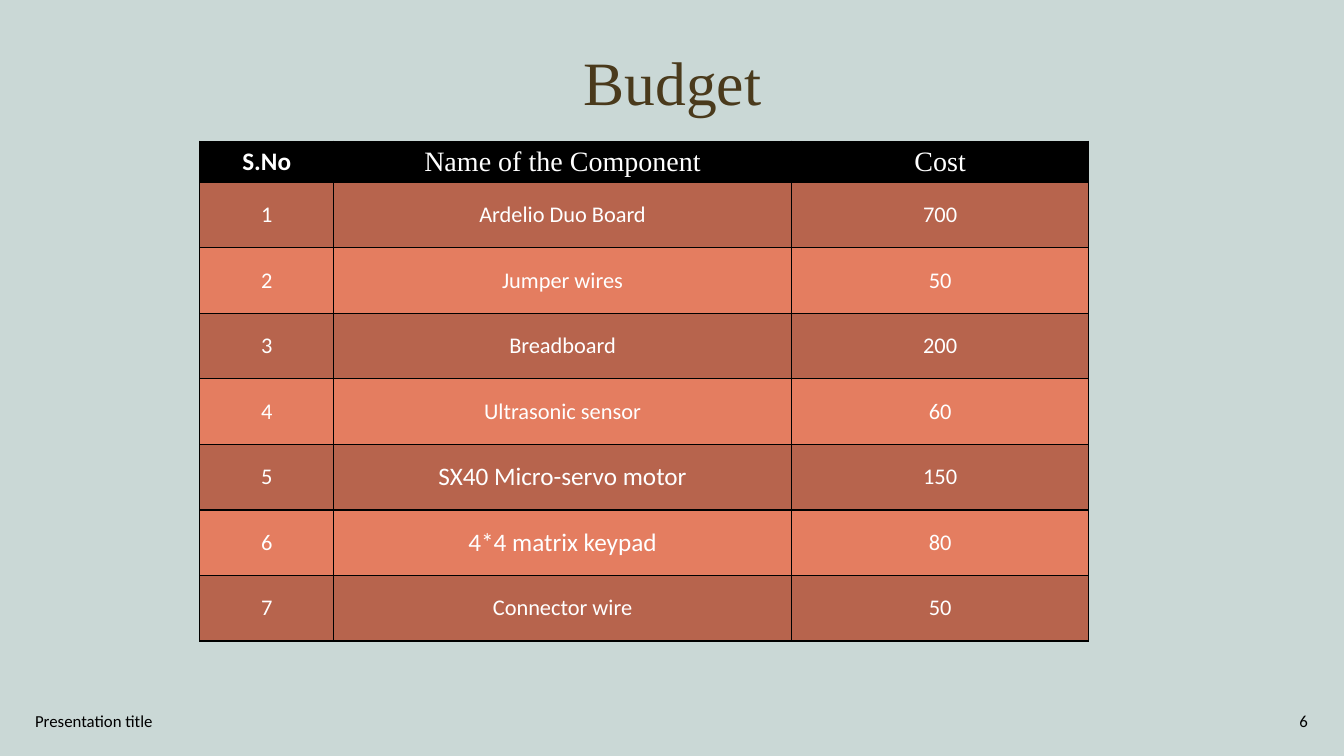
from typing import NamedTuple

from lxml.etree import SubElement
from pptx import Presentation
from pptx.dml.color import RGBColor
from pptx.enum.text import MSO_ANCHOR as Anchor, PP_ALIGN as Align
from pptx.oxml.ns import qn
from pptx.util import Inches, Pt

SANS, SERIF = "Calibri", "Times New Roman"
BLACK, WHITE, BROWN = "000000", "FFFFFF", "4A3A1C"
BACKGROUND = "CAD8D6"
BANDS = ("B7644D", "E47D60")
COLUMN_WIDTHS = (1.33, 4.54, 2.95)
HEADER_HEIGHT, ROW_HEIGHT = 0.4, 0.65


class Style(NamedTuple):
    size: int
    font: str = SANS
    color: str = WHITE
    bold: bool = False


class Component(NamedTuple):
    name: str
    cost: int
    name_size: int = 16


class FooterText(NamedTuple):
    text: str
    left: float
    width: float
    align: Align


HEADINGS = (
    ("S.No", Style(18, bold=True)),
    ("Name of the Component", Style(20, SERIF)),
    ("Cost", Style(20, SERIF)),
)
COMPONENTS = (
    Component("Ardelio Duo Board", 700),
    Component("Jumper wires", 50),
    Component("Breadboard", 200),
    Component("Ultrasonic sensor", 60),
    Component("SX40 Micro-servo motor", 150, 18),
    Component("4*4 matrix keypad", 80, 18),
    Component("Connector wire", 50),
)
FOOTER = (
    FooterText("Presentation title", 0.25, 4.5, Align.LEFT),
    FooterText("6", 10.07, 3, Align.RIGHT),
)


def rgb(color: str) -> RGBColor:
    return RGBColor.from_string(color)


def write(frame, text: str, style: Style, align: Align) -> None:
    paragraph = frame.paragraphs[0]
    paragraph.alignment = align
    run = paragraph.add_run()
    run.text = text
    font = run.font
    font.size, font.name, font.bold = Pt(style.size), style.font, style.bold
    font.color.rgb = rgb(style.color)


def add_borders(cell) -> None:
    properties = cell._tc.get_or_add_tcPr()
    for side in ("a:lnL", "a:lnR", "a:lnT", "a:lnB"):
        line = SubElement(properties, qn(side), w=str(Pt(1)))
        SubElement(SubElement(line, qn("a:solidFill")), qn("a:srgbClr"), val=BLACK)


def fill_row(table, index: int, entries, color: str) -> None:
    for column, (text, style) in enumerate(entries):
        cell = table.cell(index, column)
        add_borders(cell)
        cell.fill.solid()
        cell.fill.fore_color.rgb = rgb(color)
        cell.vertical_anchor = Anchor.MIDDLE
        write(cell.text_frame, text, style, Align.CENTER)


def add_title(slide) -> None:
    title = slide.shapes.title
    title.left, title.top = Inches(0.92), Inches(0.12)
    title.width, title.height = Inches(11.5), Inches(1.45)
    title.text_frame.vertical_anchor = Anchor.MIDDLE
    write(title.text_frame, "Budget", Style(44, SERIF, BROWN), Align.CENTER)
    title.text_frame.paragraphs[0].line_spacing = 0.9


def add_budget_table(slide) -> None:
    heights = [HEADER_HEIGHT] + [ROW_HEIGHT] * len(COMPONENTS)
    table = slide.shapes.add_table(
        len(heights), len(COLUMN_WIDTHS), Inches(1.98), Inches(1.4),
        Inches(sum(COLUMN_WIDTHS)), Inches(sum(heights)),
    ).table
    for column, width in zip(table.columns, COLUMN_WIDTHS):
        column.width = Inches(width)
    for row, height in zip(table.rows, heights):
        row.height = Inches(height)

    fill_row(table, 0, HEADINGS, BLACK)
    for number, component in enumerate(COMPONENTS, 1):
        entries = (
            (str(number), Style(16)),
            (component.name, Style(component.name_size)),
            (str(component.cost), Style(16)),
        )
        fill_row(table, number, entries, BANDS[(number - 1) % 2])


def add_footer(slide, item: FooterText) -> None:
    frame = slide.shapes.add_textbox(
        Inches(item.left), Inches(6.95), Inches(item.width), Inches(0.4)
    ).text_frame
    frame.word_wrap = True
    frame.vertical_anchor = Anchor.MIDDLE
    write(frame, item.text, Style(12, color=BLACK), item.align)


def main() -> None:
    presentation = Presentation()
    presentation.slide_width = Inches(13.33)
    presentation.slide_height = Inches(7.5)
    title_only = presentation.slide_layouts[5]
    slide = presentation.slides.add_slide(title_only)
    slide.background.fill.solid()
    slide.background.fill.fore_color.rgb = rgb(BACKGROUND)

    # Title and budget
    add_title(slide)
    add_budget_table(slide)

    # Footer line
    for item in FOOTER:
        add_footer(slide, item)

    presentation.save("out.pptx")


if __name__ == "__main__":
    main()
